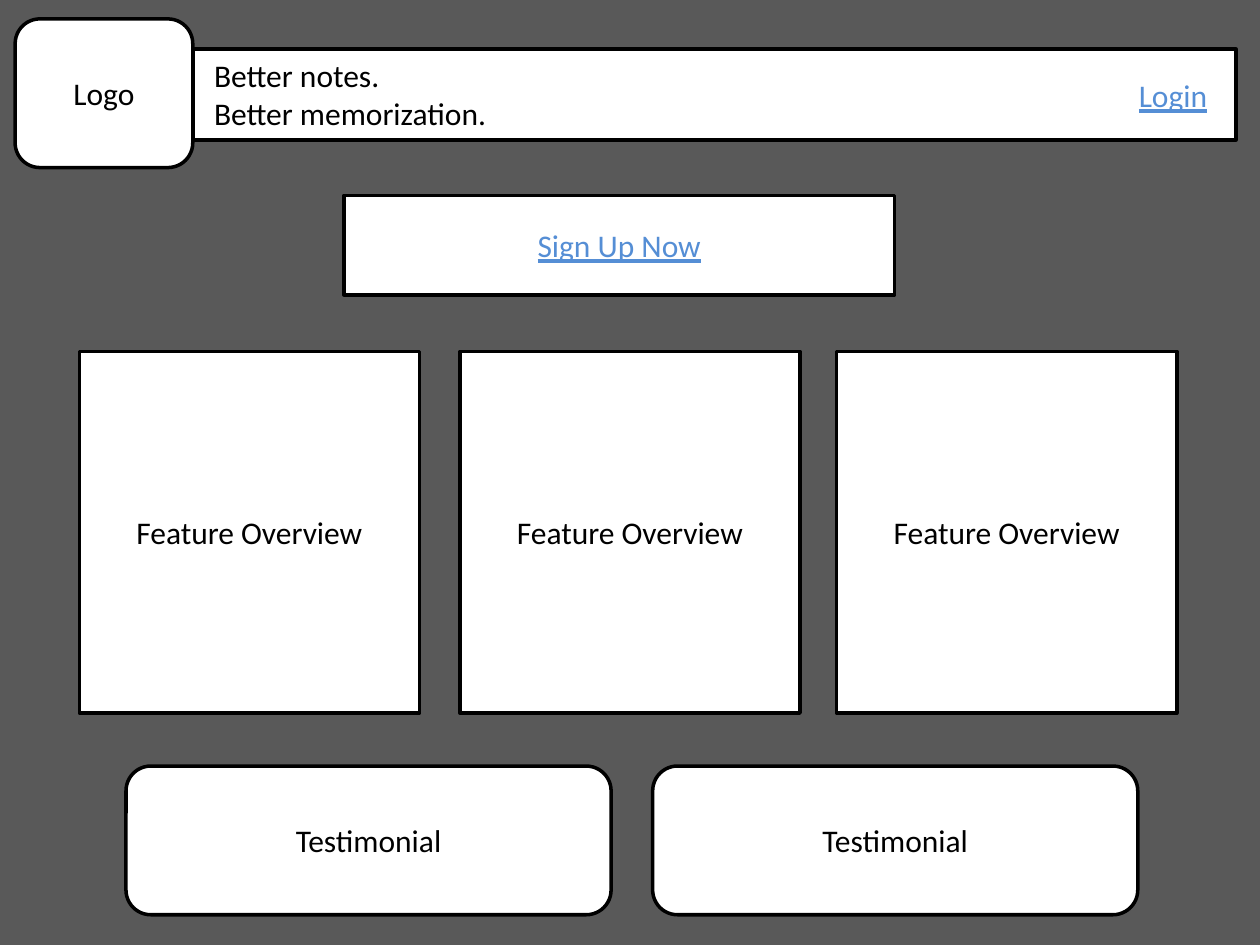
from pptx import Presentation
from pptx.dml.color import RGBColor
from pptx.enum.shapes import MSO_SHAPE
from pptx.enum.text import MSO_ANCHOR, PP_ALIGN
from pptx.util import Inches, Pt

BLACK, WHITE, GRAY, BLUE = "000000", "FFFFFF", "595959", "558ED5"
RECTANGLE, ROUNDED = MSO_SHAPE.RECTANGLE, MSO_SHAPE.ROUNDED_RECTANGLE


def paint(fill, color):
    fill.solid()
    fill.fore_color.rgb = RGBColor.from_string(color)


def add_box(page, kind, place, text="", align=PP_ALIGN.CENTER, outlined=True, link=False):
    box = page.shapes.add_shape(kind, *[Inches(length) for length in place])
    box.shadow.inherit = False
    paint(box.fill, WHITE)
    if outlined:
        paint(box.line.fill, BLACK)
        box.line.width = Pt(2)
    else:
        box.line.fill.background()
    if not text:
        return
    frame = box.text_frame
    frame.word_wrap = True
    frame.vertical_anchor = MSO_ANCHOR.MIDDLE
    para = frame.paragraphs[0]
    para.alignment = align
    formats = {"name": "Calibri", "size": Pt(18), "underline": link}
    for index, line in enumerate(text.split("\n")):
        if index:
            para.add_line_break()
        span = para.add_run()
        span.text = line
        for name, value in formats.items():
            setattr(span.font, name, value)
        paint(span.font.fill, BLUE if link else BLACK)


deck = Presentation()
deck.slide_width, deck.slide_height = Inches(10), Inches(7.5)
page = deck.slides.add_slide(deck.slide_layouts[6])
paint(page.background.fill, GRAY)

add_box(page, ROUNDED, (0.12, 0.15, 1.41, 1.18), "Logo")
add_box(page, RECTANGLE, (1.53, 0.39, 8.28, 0.72))
add_box(page, RECTANGLE, (2.73, 1.55, 4.37, 0.79), "Sign Up Now", link=True)
add_box(page, RECTANGLE, (1.6, 0.42, 4.92, 0.65), "Better notes.\nBetter memorization.",
        align=PP_ALIGN.LEFT, outlined=False)
add_box(page, RECTANGLE, (8.72, 0.48, 0.96, 0.55), "Login",
        align=PP_ALIGN.RIGHT, outlined=False, link=True)

for left in (0.63, 3.65, 6.64):
    add_box(page, RECTANGLE, (left, 2.79, 2.7, 2.87), "Feature Overview")

for left in (1, 5.18):
    add_box(page, ROUNDED, (left, 6.08, 3.85, 1.18), "Testimonial")

deck.save("out.pptx")
